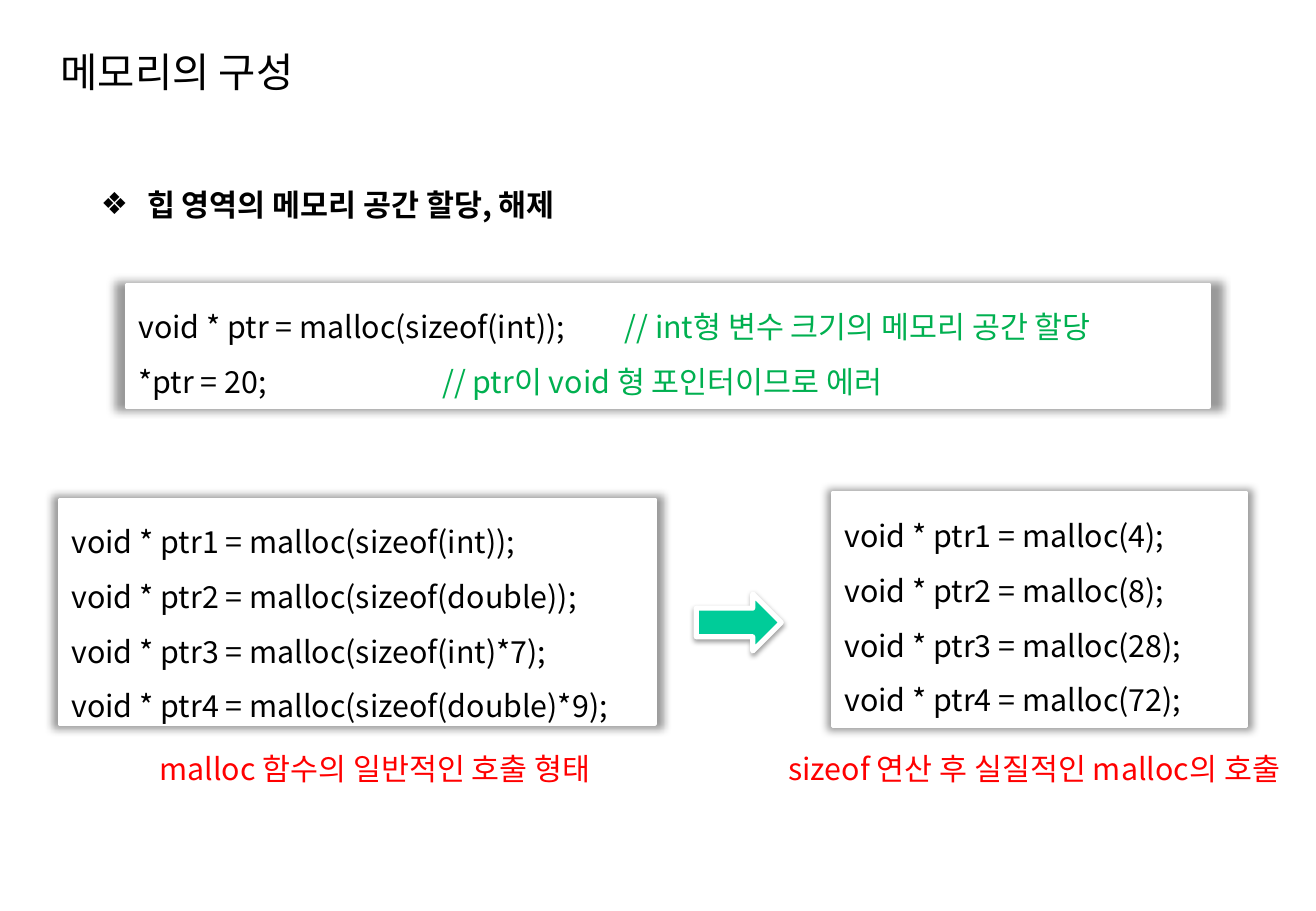
from lxml import etree
from pptx import Presentation
from pptx.dml.color import RGBColor
from pptx.enum.shapes import MSO_SHAPE
from pptx.enum.text import MSO_ANCHOR, MSO_AUTO_SIZE, PP_ALIGN
from pptx.oxml.ns import qn
from pptx.util import Inches, Pt

RECT, ARROW = MSO_SHAPE.RECTANGLE, MSO_SHAPE.RIGHT_ARROW
TOP, MIDDLE = MSO_ANCHOR.TOP, MSO_ANCHOR.MIDDLE
LEFT, CENTER = PP_ALIGN.LEFT, PP_ALIGN.CENTER
FIT, FIXED = MSO_AUTO_SIZE.SHAPE_TO_FIT_TEXT, MSO_AUTO_SIZE.NONE

# Content: a line is a list of (text, colour) runs
FONT = "Noto Sans CJK KR"
COLORS = {"black": "000000", "white": "FFFFFF", "comment": "00B050",
          "caption": "FF0000", "arrow": "00CC99"}
TITLE = "메모리의 구성"
HEADING = "힙 영역의 메모리 공간 할당, 해제"
SIZEOF_CALLS = ["sizeof(int)", "sizeof(double)", "sizeof(int)*7", "sizeof(double)*9"]
BYTE_CALLS = ["4", "8", "28", "72"]
EXAMPLE = [
    [("void * ptr = malloc(sizeof(int));\t", "black"),
     ("// int형 변수 크기의 메모리 공간 할당", "comment")],
    [("*ptr = 20;\t\t\t", "black"),
     ("// ptr이 void 형 포인터이므로 에러", "comment")],
]


def malloc_lines(sizes):
    return [[(f"void * ptr{n} = malloc({size});", "black")]
            for n, size in enumerate(sizes, 1)]


CODE_BOXES = [
    ((0.49, 4.11, 4.9, 1.85), malloc_lines(SIZEOF_CALLS)),
    ((6.85, 4.06, 3.41, 1.92), malloc_lines(BYTE_CALLS)),
    ((1.04, 2.34, 8.91, 1.01), EXAMPLE),
]
CAPTIONS = [
    ((1.04, 6.13, 4.09, 0.4), "malloc 함수의 일반적인 호출 형태"),
    ((6.2, 6.13, 4.62, 0.4), "sizeof 연산 후 실질적인 malloc의 호출"),
]


def rgb(name):
    return RGBColor.from_string(COLORS[name])


def inches(box):
    return [Inches(v) for v in box]


def write(tf, lines, size=18, bold=False, align=LEFT, spacing=1.0,
          anchor=TOP, wrap=True, fit=FIT):
    tf.word_wrap, tf.auto_size, tf.vertical_anchor = wrap, fit, anchor
    for i, line in enumerate(lines):
        p = tf.add_paragraph() if i else tf.paragraphs[0]
        p.alignment, p.line_spacing, p.space_before = align, spacing, Pt(0)
        for text, color in line:
            r = p.add_run()
            r.text = text
            r.font.size, r.font.bold, r.font.name = Pt(size), bold, FONT
            r.font.color.rgb = rgb(color)
            etree.SubElement(r.font._element, qn("a:ea"), typeface=FONT)


def add_shadow(s, blur, alpha, **attrs):
    effects = etree.SubElement(s._element.spPr, qn("a:effectLst"))
    shadow = etree.SubElement(effects, qn("a:outerShdw"), blurRad=str(Pt(blur)),
                              rotWithShape="0", **attrs)
    color = etree.SubElement(shadow, qn("a:srgbClr"), val=COLORS["black"])
    etree.SubElement(color, qn("a:alpha"), val=str(alpha * 1000))


def add_panel(kind, box, fill, line_width):
    s = slide.shapes.add_shape(kind, *inches(box))
    s.fill.solid()
    s.fill.fore_color.rgb = rgb(fill)
    s.line.color.rgb = rgb("white")
    s.line.width = Pt(line_width)
    return s


def place(s, box):
    s.left, s.top, s.width, s.height = inches(box)


prs = Presentation()
prs.slide_width, prs.slide_height = Inches(10.83), Inches(7.5)
slide = prs.slides.add_slide(prs.slide_layouts[1])

# Title and bulleted heading
title, body = slide.placeholders
place(title, (0.4, 0.32, 6.26, 0.54))
write(title.text_frame, [[(TITLE, "black")]], size=24, anchor=MIDDLE, fit=FIXED)
place(body, (0.73, 1.33, 9.33, 5.58))
pPr = body.text_frame.paragraphs[0]._p.get_or_add_pPr()
pPr.set("marL", str(Inches(0.38)))
pPr.set("indent", str(Inches(-0.38)))
etree.SubElement(pPr, qn("a:buChar"), char="❖")
write(body.text_frame, [[(HEADING, "black")]], bold=True, spacing=1.5, fit=FIXED)

# Code boxes
for box, lines in CODE_BOXES:
    s = add_panel(RECT, box, "white", 2)
    add_shadow(s, 5, 40, sx="102000", sy="102000", algn="ctr")
    write(s.text_frame, lines, spacing=1.5)

# Arrow between the two forms of the calls
arrow = add_panel(ARROW, (5.73, 4.89, 0.7, 0.47), "arrow", 3)
add_shadow(arrow, 3.1, 38, dist=str(Pt(1.6)), dir="5400000")

# Captions
for box, text in CAPTIONS:
    s = slide.shapes.add_textbox(*inches(box))
    write(s.text_frame, [[(text, "caption")]], align=CENTER, wrap=False)

prs.save("out.pptx")
